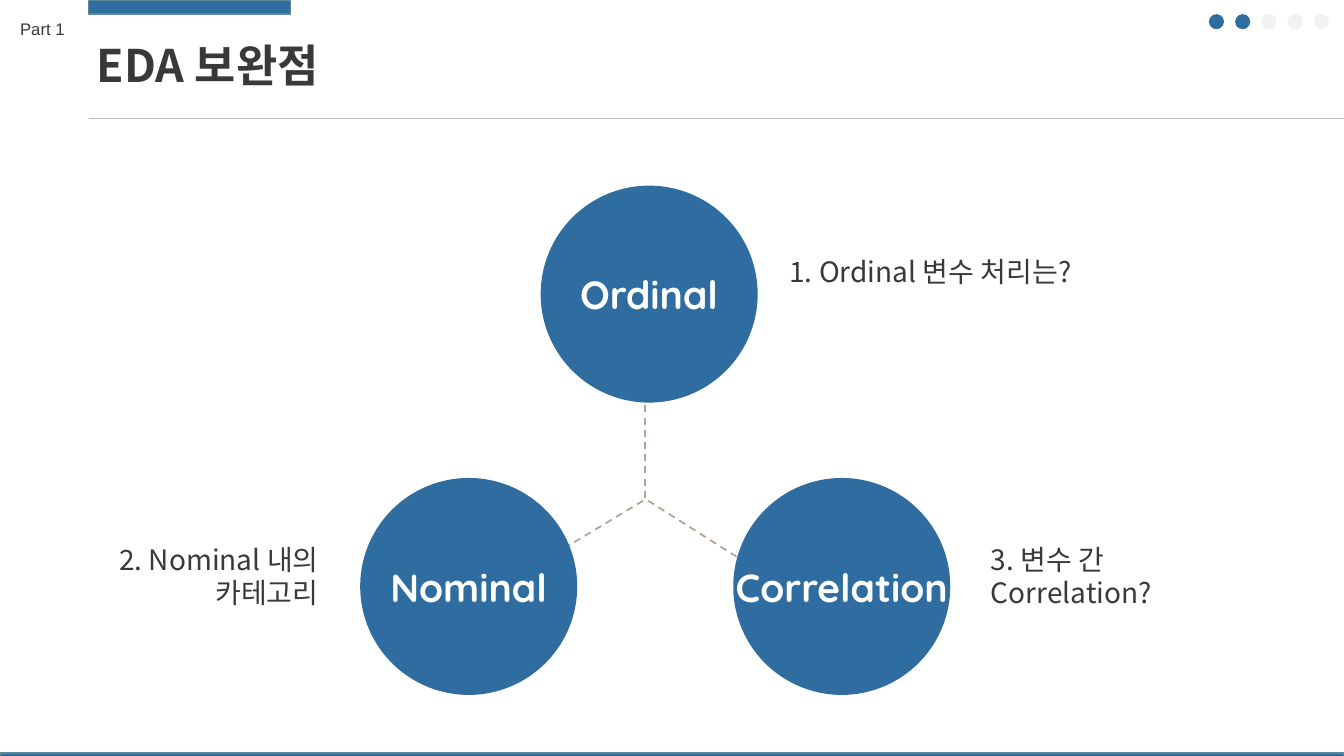
from lxml.etree import SubElement
from pptx import Presentation
from pptx.dml.color import RGBColor
from pptx.enum.dml import MSO_LINE
from pptx.enum.shapes import MSO_CONNECTOR as CONN, MSO_SHAPE as SHAPE
from pptx.enum.text import MSO_ANCHOR as ANCHOR, MSO_AUTO_SIZE as AUTO, PP_ALIGN as ALIGN
from pptx.oxml.ns import qn
from pptx.util import Inches, Pt

W, H = 13.33, 7.5
BLUE, EDGE, INK, PALE = "2F6DA0", "5C8A95", "3A3838", "F2F2F2"
RULE, DASH, WHITE = "BFBFBF", "B3A197", "FFFFFF"
KOREAN, LATIN, ROUND = "Noto Sans CJK KR", "Arial", "Quicksand"


def rgb(color):
    return RGBColor.from_string(color)


def place(sp, x, y, w, h):
    sp.left, sp.top, sp.width, sp.height = (Inches(v) for v in (x, y, w, h))


def write(sp, lines, size, font, color, bold=False, align=ALIGN.LEFT, wrap=True):
    tf = sp.text_frame
    tf.auto_size = AUTO.NONE
    tf.word_wrap = wrap
    tf.vertical_anchor = ANCHOR.MIDDLE
    for i, line in enumerate(lines):
        p = tf.add_paragraph() if i else tf.paragraphs[0]
        p.alignment = align
        r = p.add_run()
        r.text = line
        r.font.size = Pt(size)
        r.font.bold = bold
        r.font.name = font
        r.font.color.rgb = rgb(color)
        SubElement(r.font._element, qn("a:ea"), typeface=font)


def text(s, x, y, w, h, lines, size, font, **style):
    sp = s.shapes.add_textbox(Inches(x), Inches(y), Inches(w), Inches(h))
    write(sp, lines, size, font, INK, **style)


def shape(s, kind, x, y, w, h, fill, edge=None):
    sp = s.shapes.add_shape(kind, Inches(x), Inches(y), Inches(w), Inches(h))
    sp.shadow.inherit = False
    sp.fill.solid()
    sp.fill.fore_color.rgb = rgb(fill)
    if edge:
        sp.line.color.rgb = rgb(edge)
        sp.line.width = Pt(1)
    else:
        sp.line.fill.background()
    return sp


def line(s, x1, y1, x2, y2, color, width, dash=None):
    c = s.shapes.add_connector(CONN.STRAIGHT, Inches(x1), Inches(y1), Inches(x2), Inches(y2))
    c.line.color.rgb = rgb(color)
    c.line.width = Pt(width)
    c.line.dash_style = dash
    SubElement(c._element.spPr, qn("a:effectLst"))


def header(s, x, y, w, h):
    shape(s, SHAPE.RECTANGLE, x, y, 2, 0.14, BLUE, EDGE)
    title = s.shapes.title
    place(title, x - 0.02, y + 0.32, w / 2, 0.64)
    write(title, ["EDA 보완점"], 32, KOREAN, INK, bold=True)
    text(s, x - 0.78, y + 0.14, 0.75, 0.3, ["Part 1"], 12, LATIN)
    line(s, x, y + h, x + w, y + h, RULE, 0.5)


def progress(s, x, y, done, total, size=0.15, step=0.26):
    for i in range(total):
        shape(s, SHAPE.OVAL, x + i * step, y, size, size, BLUE if i < done else PALE)


def diagram(s, x, y, w, h):
    hub_x, hub_y = x + w * 0.48, y + h * 0.6
    size = h * 0.34
    for x1, y1, x2, y2 in ((0, -1.31, 0, -0.01), (-0.02, 0, -1.43, 0.85), (0.03, 0, 1.2, 0.74)):
        line(s, hub_x + x1, hub_y + y1, hub_x + x2, hub_y + y2, DASH, 1.25, MSO_LINE.DASH)
    nodes = (("Nominal", -1.75, 0.85), ("Ordinal", 0.04, -2.05), ("Correlation", 1.95, 0.85))
    for name, dx, dy in nodes:
        sp = shape(s, SHAPE.OVAL, hub_x + dx - size / 2, hub_y + dy - size / 2, size, size, BLUE)
        write(sp, [name], 28, ROUND, WHITE, bold=True, align=ALIGN.CENTER, wrap=False)
    text(s, x + w * 0.58, hub_y - 2.5, 3.23, 0.44, ["1. Ordinal 변수 처리는?"], 20, KOREAN)
    text(s, x, hub_y + 0.36, 3.26, 0.77, ["2. Nominal 내의", "카테고리"], 20, KOREAN, align=ALIGN.RIGHT)
    text(s, x + w * 0.73, hub_y + 0.36, 2.8, 0.77, ["3. 변수 간 Correlation?"], 20, KOREAN)


def footer(s, x, y, w, h):
    shape(s, SHAPE.RECTANGLE, x, y, w, h, BLUE, EDGE)


def main():
    prs = Presentation()
    prs.slide_width, prs.slide_height = Inches(W), Inches(H)
    s = prs.slides.add_slide(prs.slide_layouts[5])
    header(s, 0.88, 0, W - 0.88, 1.17)
    progress(s, 11.99, 0.14, done=2, total=5)
    diagram(s, 0, 1.17, W, H - 1.17)
    footer(s, 0, H - 0.03, W, 0.05)
    prs.save("out.pptx")


if __name__ == "__main__":
    main()
